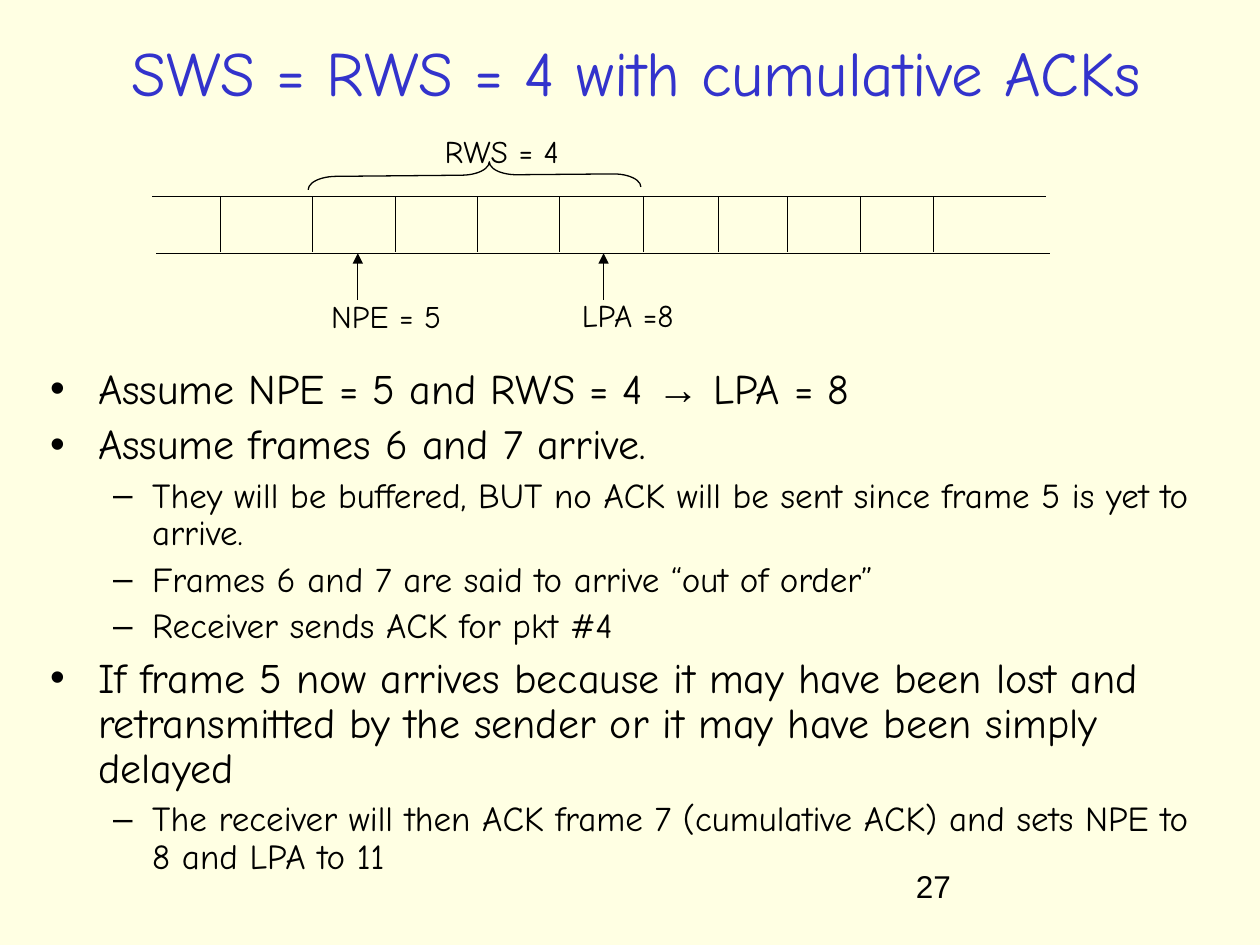
import pptx
import pptx.dml.color
import pptx.enum.shapes
import pptx.enum.text
import pptx.oxml
import pptx.oxml.ns
import pptx.util
from pptx.util import Inches

HAND_FONT = "Comic Neue"
PLAIN_FONT = "Arial"
INK = "000000"
TITLE_BLUE = "3333CC"
PAPER = "FFFFE3"

# Paragraph formats and bullets by outline level
LEVELS = [
    {"size": 24, "before": 6, "indent": 0.38, "hang": 0.38, "bullet": "•"},
    {"size": 20, "before": 5, "indent": 0.81, "hang": 0.31, "bullet": "–"},
]
# Each point: outline level, then its text as (wording, font) pieces
POINTS = [
    (0, [("Assume NPE = 5 and RWS = 4 ", HAND_FONT), ("→", PLAIN_FONT),
         (" LPA = 8", HAND_FONT)]),
    (0, [("Assume frames 6 and 7 arrive.", HAND_FONT)]),
    (1, [("They will be buffered, BUT no ACK will be sent since frame 5 "
          "is yet to arrive.", HAND_FONT)]),
    (1, [("Frames 6 and 7 are said to arrive “out of order”", HAND_FONT)]),
    (1, [("Receiver sends ACK for pkt #4", HAND_FONT)]),
    (0, [("If frame 5 now arrives because it may have been lost and "
          "retransmitted by the sender or it may have been simply delayed",
          HAND_FONT)]),
    (1, [("The receiver will then ACK frame 7 (cumulative ACK) and sets "
          "NPE to 8 and LPA to 11", HAND_FONT)]),
]


def colour(hex_code):
    return pptx.dml.color.RGBColor.from_string(hex_code)


def add_xml(parent, tag, **attributes):
    child = pptx.oxml.parse_xml(f"<a:{tag} {pptx.oxml.ns.nsdecls('a')}/>")
    for name, value in attributes.items():
        child.set(name, value)
    parent.append(child)


def add_frame(slide, left, top, width, height, **formats):
    box = slide.shapes.add_textbox(
        Inches(left), Inches(top), Inches(width), Inches(height))
    for name, value in ({"word_wrap": True} | formats).items():
        setattr(box.text_frame, name, value)
    return box.text_frame


def add_run(paragraph, wording, size, font=HAND_FONT, ink=INK):
    run = paragraph.add_run()
    run.text = wording
    formats = {"name": font, "size": pptx.util.Pt(size)}
    for name, value in formats.items():
        setattr(run.font, name, value)
    run.font.color.rgb = colour(ink)


def add_rule(slide, x1, y1, x2, y2, arrow=False):
    rule = slide.shapes.add_connector(
        pptx.enum.shapes.MSO_CONNECTOR.STRAIGHT,
        Inches(x1), Inches(y1), Inches(x2), Inches(y2))
    rule.line.color.rgb = colour(INK)
    rule.line.width = pptx.util.Pt(0.75)
    if arrow:
        add_xml(rule.line._get_or_add_ln(), "tailEnd", type="triangle")
    add_xml(rule._element.spPr, "effectLst")


def add_title(slide, left, top, width, height):
    frame = add_frame(slide, left, top, width, height,
                      vertical_anchor=pptx.enum.text.MSO_ANCHOR.MIDDLE)
    heading = frame.paragraphs[0]
    heading.alignment = pptx.enum.text.PP_ALIGN.CENTER
    add_run(heading, "SWS = RWS = 4 with cumulative ACKs", 36, ink=TITLE_BLUE)


def add_window_diagram(slide, left, top):
    # Frame strip: two long edges and the frame boundaries
    length, depth = 7.09, 0.45
    add_rule(slide, left, top, left + length, top)
    add_rule(slide, left + 0.03, top + depth, left + 0.03 + length, top + depth)
    for offset in (0.54, 1.27, 1.93, 2.58, 3.23, 3.9, 4.49, 5.04, 5.62, 6.2):
        add_rule(slide, left + offset, top, left + offset, top + 0.44)

    # Brace over the receive window, turned to point upwards
    brace = slide.shapes.add_shape(
        pptx.enum.shapes.MSO_SHAPE.LEFT_BRACE,
        Inches(left + 2.45), Inches(top - 1.49), Inches(0.21), Inches(2.64))
    brace.rotation = 89.5
    brace.adjustments[0] = 1.05
    brace.adjustments[1] = 0.455
    brace.shadow.inherit = False
    brace.fill.background()
    brace.line.color.rgb = colour(INK)
    brace.line.width = pptx.util.Pt(0.75)

    # Pointers to the first and last frame of the window
    for offset in (1.63, 3.58):
        add_rule(slide, left + offset, top + 0.82, left + offset, top + depth,
                 arrow=True)

    # Labels, each wide enough to stay on one line
    for wording, x, y, width in (("NPE = 5", 1.32, 0.75, 1.12),
                                 ("LPA =8", 3.31, 0.74, 0.99),
                                 ("RWS = 4", 2.22, -0.56, 1.18)):
        frame = add_frame(slide, left + x, top + y, width, 0.4,
                          word_wrap=False)
        add_run(frame.paragraphs[0], wording, 18)


def add_points(slide, left, top, width, height):
    frame = add_frame(slide, left, top, width, height)
    for number, (level, pieces) in enumerate(POINTS):
        point = frame.add_paragraph() if number else frame.paragraphs[0]
        look = LEVELS[level]
        formats = {"level": level, "line_spacing": 0.9,
                   "space_before": pptx.util.Pt(look["before"])}
        for name, value in formats.items():
            setattr(point, name, value)
        properties = point._p.get_or_add_pPr()
        properties.set("marL", str(Inches(look["indent"])))
        properties.set("indent", str(-Inches(look["hang"])))
        add_xml(properties, "buFont", typeface=PLAIN_FONT)
        add_xml(properties, "buChar", char=look["bullet"])
        for wording, font in pieces:
            add_run(point, wording, look["size"], font)


def add_page_number(slide, left, top, width, height):
    frame = add_frame(slide, left, top, width, height)
    add_run(frame.paragraphs[0], "27", 18, PLAIN_FONT)


def main():
    deck = pptx.Presentation()
    deck.slide_width, deck.slide_height = Inches(10), Inches(7.5)
    slide = deck.slides.add_slide(deck.slide_layouts[6])
    slide.background.fill.solid()
    slide.background.fill.fore_color.rgb = colour(PAPER)

    add_title(slide, 0.26, 0.19, 9.58, 0.76)
    add_window_diagram(slide, 1.21, 1.56)
    add_points(slide, 0.3, 2.87, 9.45, 4.38)
    add_page_number(slide, 7.17, 6.83, 2.08, 0.5)
    deck.save("out.pptx")


if __name__ == "__main__":
    main()
